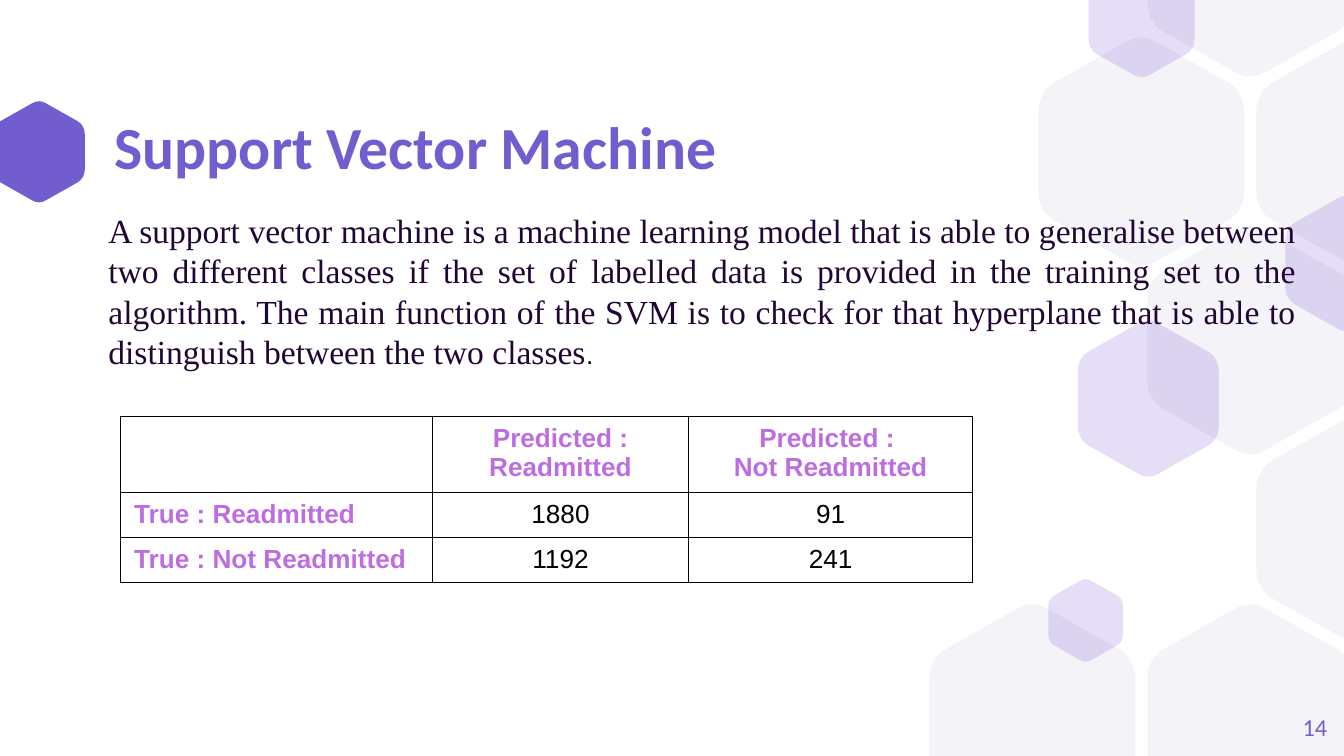
from dataclasses import dataclass

from lxml.etree import SubElement
from pptx import Presentation
from pptx.dml.color import RGBColor
from pptx.enum.text import MSO_ANCHOR, MSO_AUTO_SIZE, PP_ALIGN
from pptx.oxml.ns import qn
from pptx.util import Pt

SLIDE_WIDTH, SLIDE_HEIGHT = 720, 405
HEXAGON_RATIO = 1.1
UPPER_CORNERS = [
    [(1, 0.325), (1, 0.27), (0.97, 0.22), (0.92, 0.195)],
    [(0.58, 0.02), (0.53, -0.01), (0.47, -0.01), (0.42, 0.02)],
    [(0.08, 0.195), (0.03, 0.22), (0, 0.27), (0, 0.325)],
]
LOWER_CORNERS = [[(1 - x, 1 - y) for x, y in corner] for corner in UPPER_CORNERS]


@dataclass(frozen=True)
class Theme:
    accent: str = "725DCF"
    pale: str = "F4F3F8"
    glass: str = "5322C9"
    body: str = "210635"
    heading: str = "BD6DE0"
    black: str = "000000"
    title_font: str = "Calibri"
    body_font: str = "Times New Roman"
    table_font: str = "Arial"
    title_size: int = 32
    body_size: int = 18
    table_size: int = 14
    number_size: int = 13


def hexagon_corners(left, top, width):
    height = width * HEXAGON_RATIO
    corners = [[(left + x * width, top + y * height) for x, y in corner]
               for corner in UPPER_CORNERS + LOWER_CORNERS]
    return [corner for corner in corners if all(0 <= y <= SLIDE_HEIGHT for x, y in corner)]


class SlideBuilder:
    def __init__(self, slide, theme):
        self.slide = slide
        self.theme = theme

    def format_run(self, run, font, size, color, bold=False):
        run.font.name = font
        run.font.size = Pt(size)
        run.font.bold = bold
        run.font.color.rgb = RGBColor.from_string(color)

    def place(self, shape, left, top, width, height):
        shape.left, shape.top, shape.width, shape.height = map(Pt, (left, top, width, height))

    def frame(self, shape, anchor, inset):
        text_frame = shape.text_frame
        text_frame.word_wrap = True
        text_frame.vertical_anchor = anchor
        if not inset:
            text_frame.margin_left = text_frame.margin_right = 0
            text_frame.margin_top = text_frame.margin_bottom = 0
        return text_frame

    def round_corners(self, shape, corner_count):
        outline = shape._element.find(".//" + qn("a:path"))
        steps = list(outline)
        for corner in range(corner_count):
            controls = steps[corner * 4 + 1:corner * 4 + 4]
            curve = SubElement(outline, qn("a:cubicBezTo"))
            controls[0].addprevious(curve)
            for control in controls:
                curve.append(control[0])
                outline.remove(control)

    def hexagon(self, left, top, width, color, opacity=None):
        corners = hexagon_corners(left, top, width)
        points = [point for corner in corners for point in corner]
        if len(corners) < 6:
            edge = 0 if top < 0 else SLIDE_HEIGHT
            points += [(points[-1][0], edge), (points[0][0], edge)]
        points = [(Pt(x), Pt(y)) for x, y in points]
        builder = self.slide.shapes.build_freeform(*points[0])
        builder.add_line_segments(points[1:], close=True)
        shape = builder.convert_to_shape()
        self.round_corners(shape, len(corners))
        shape.shadow.inherit = False
        shape.line.fill.background()
        shape.fill.solid()
        shape.fill.fore_color.rgb = RGBColor.from_string(color)
        if opacity:
            color_element = shape.fill._xPr.find(qn("a:solidFill"))[0]
            SubElement(color_element, qn("a:alpha")).set("val", str(opacity * 1000))

    def title(self, text, left, top, width, height):
        shape = self.slide.shapes.title
        self.place(shape, left, top, width, height)
        text_frame = self.frame(shape, MSO_ANCHOR.MIDDLE, False)
        text_frame.text = text
        text_frame.auto_size = MSO_AUTO_SIZE.NONE
        paragraph = text_frame.paragraphs[0]
        paragraph.alignment = PP_ALIGN.LEFT
        paragraph.line_spacing = 0.9
        self.format_run(paragraph.runs[0], self.theme.title_font, self.theme.title_size, self.theme.accent, True)

    def text(self, runs, left, top, width, height, alignment, anchor=MSO_ANCHOR.TOP, inset=True):
        shape = self.slide.shapes.add_textbox(Pt(left), Pt(top), Pt(width), Pt(height))
        paragraph = self.frame(shape, anchor, inset).paragraphs[0]
        paragraph.alignment = alignment
        for text, font, size, color in runs:
            run = paragraph.add_run()
            run.text = text
            self.format_run(run, font, size, color)

    def border(self, cell):
        properties = cell._tc.get_or_add_tcPr()
        for position, side in enumerate(("a:lnL", "a:lnR", "a:lnT", "a:lnB")):
            line = SubElement(properties, qn(side), w=str(Pt(0.75)))
            properties.insert(position, line)
            fill = SubElement(line, qn("a:solidFill"))
            SubElement(fill, qn("a:srgbClr"), val=self.theme.black)

    def table(self, rows, left, top, column_widths, row_heights):
        table = self.slide.shapes.add_table(
            len(rows), len(column_widths), Pt(left), Pt(top),
            Pt(sum(column_widths)), Pt(sum(row_heights))).table
        table.first_row = table.horz_banding = False
        for column, width in zip(table.columns, column_widths):
            column.width = Pt(width)
        for row, height in zip(table.rows, row_heights):
            row.height = Pt(height)
        for row_index, row in enumerate(rows):
            for column_index, text in enumerate(row):
                cell = table.cell(row_index, column_index)
                cell.fill.background()
                self.border(cell)
                cell.text_frame.text = text
                is_heading = row_index == 0 or column_index == 0
                color = self.theme.heading if is_heading else self.theme.black
                for paragraph in cell.text_frame.paragraphs:
                    paragraph.alignment = PP_ALIGN.CENTER if column_index else PP_ALIGN.LEFT
                    for run in paragraph.runs:
                        self.format_run(run, self.theme.table_font, self.theme.table_size, color, is_heading)


def main():
    presentation = Presentation()
    presentation.slide_width, presentation.slide_height = Pt(SLIDE_WIDTH), Pt(SLIDE_HEIGHT)
    slide = presentation.slides.add_slide(presentation.slide_layouts[5])
    theme = Theme()
    builder = SlideBuilder(slide, theme)

    builder.hexagon(-3.6, 54.4, 49, theme.accent)
    for column, row in [(0, 3), (2, 3), (3, 0), (2, -1), (2, 1), (1, 0), (3, 2)]:
        builder.hexagon(497.8 + 58.4 * column, 20.5 + 101.2 * row, 110.4, theme.pale)
    for left, top, width in [(688.6, 105, 65.8), (561.6, 310.4, 40), (583.2, -21.2, 56.8), (577.4, 172, 75.6)]:
        builder.hexagon(left, top, width, theme.glass, 15)

    builder.title("Support Vector Machine", 61.4, 64.8, 473, 31)
    builder.text([("14", theme.title_font, theme.number_size, theme.accent)],
                 667.8, 373.7, 43.2, 31, PP_ALIGN.RIGHT, MSO_ANCHOR.MIDDLE, False)
    description = (
        "A support vector machine is a machine learning model that is able to generalise between "
        "two different classes if the set of labelled data is provided in the training set to the "
        "algorithm. The main function of the SVM is to check for that hyperplane that is able to "
        "distinguish between the two classes")
    builder.text([(description, theme.body_font, theme.body_size, theme.body),
                  (".", theme.table_font, theme.table_size, theme.black)],
                 51, 109, 651, 94.3, PP_ALIGN.JUSTIFY)
    builder.table([
        ["", "Predicted : Readmitted", "Predicted : \nNot Readmitted"],
        ["True : Readmitted", "1880", "91"],
        ["True : Not Readmitted", "1192", "241"],
    ], 64.6, 223.2, [167, 137.4, 152], [40.7, 24.1, 24.1])
    presentation.save("out.pptx")


if __name__ == "__main__":
    main()
